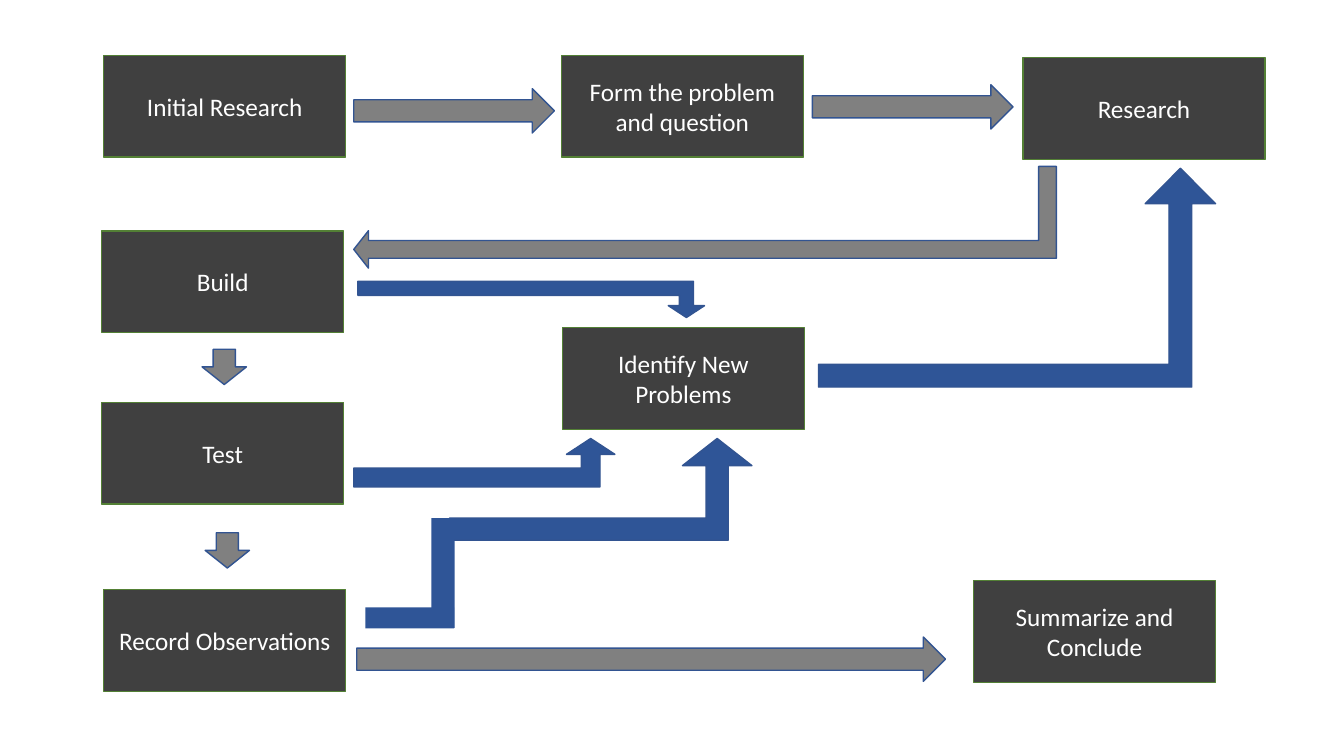
from pptx import Presentation
from pptx.dml.color import RGBColor
from pptx.enum.shapes import MSO_SHAPE
from pptx.enum.text import MSO_ANCHOR, PP_ALIGN
from pptx.util import Pt

RECT = MSO_SHAPE.RECTANGLE
RIGHT = MSO_SHAPE.RIGHT_ARROW
BENT = MSO_SHAPE.BENT_UP_ARROW
MIDDLE = MSO_ANCHOR.MIDDLE
CENTER = PP_ALIGN.CENTER

HUES = {
    "step": "404040", "rim": "538035", "text": "FFFFFF",
    "flow": "808080", "loop": "2F5597", "edge": "325491",
}
FONT = "Calibri"
STEP_W, STEP_H = 172.8, 72.72
HEAD = 31.68


def hue(name):
    """Return the named colour."""
    return RGBColor.from_string(HUES[name])


def draw(slide, kind, box, at, size, fill, line=None):
    """Draw one flat shape at an offset inside the box."""
    left, top = box[0] + at[0], box[1] + at[1]
    shape = slide.shapes.add_shape(kind, Pt(left), Pt(top), *map(Pt, size))
    shape.shadow.inherit = False
    shape.fill.solid()
    shape.fill.fore_color.rgb = hue(fill)
    if line:
        shape.line.color.rgb = hue(line)
        shape.line.width = Pt(1)
    else:
        shape.line.fill.background()
    return shape


def bend(slide, box, at, size, fill, ratios, turn=0, flip=None):
    """Draw a bent arrow, turned and mirrored as asked."""
    arrow = draw(slide, BENT, box, at, size, fill, "edge")
    for i, ratio in enumerate(ratios):
        arrow.adjustments[i] = ratio
    arrow.rotation = turn
    if flip:
        arrow.element.spPr.xfrm.set(flip, "1")


def add_steps(slide, box):
    """Place the labelled steps."""
    steps = (
        ("Initial Research", 2.16, 3.6),
        ("Form the problem and question", 329.04, 3.6),
        ("Research", 658.8, 5.04),
        ("Build", 0.72, 128.88),
        ("Test", 0.72, 251.28),
        ("Identify New Problems", 329.76, 198),
        ("Record Observations", 2.16, 385.2),
        ("Summarize and Conclude", 623.52, 378.72),
    )
    for label, x, y in steps:
        shape = draw(slide, RECT, box, (x, y), (STEP_W, STEP_H), "step", "rim")
        frame = shape.text_frame
        frame.word_wrap = True
        frame.vertical_anchor = MIDDLE
        para = frame.paragraphs[0]
        para.alignment = CENTER
        run = para.add_run()
        run.text = label
        run.font.name = FONT
        run.font.size = Pt(18)
        run.font.color.rgb = hue("text")


def add_flow(slide, box):
    """Place the grey arrows of the main path."""
    arrows = (
        (180.72, 27.36, 143.28, 0),
        (508.32, 24.48, 143.28, 0),
        (75.6, 210.24, 25.2, 90),
        (77.76, 341.28, 25.2, 90),
        (182.88, 419.04, 420.48, 0),
    )
    for x, y, width, turn in arrows:
        arrow = draw(slide, RIGHT, box, (x, y), (width, HEAD), "flow", "edge")
        arrow.rotation = turn
    bend(slide, box, (395.28, -131.76), (STEP_H, 501.84), "flow",
         (0.174, 0.184, 0.145), 90, "flipV")


def add_loops(slide, box):
    """Place the blue arrows that lead back to research."""
    small = (0.388, 0.5, 0.328)
    bend(slide, box, (180.72, 277.2), (186.48, 34.56), "loop", small)
    bend(slide, box, (183.6, 164.88), (247.68, 25.92), "loop", small,
         180, "flipH")
    bend(slide, box, (249.12, 277.2), (216, 72.72), "loop",
         (0.217, 0.341, 0.267))
    bend(slide, box, (512.64, 84.24), (283.68, 156.24), "loop",
         (0.104, 0.161, 0.162))
    draw(slide, RECT, box, (236.16, 334.08), (16.56, 78.48), "loop")
    draw(slide, RECT, box, (189, 397.8), (63.36, 15.12), "loop")


def main():
    """Build and save the slide."""
    deck = Presentation()
    deck.slide_width, deck.slide_height = Pt(960), Pt(540)
    slide = deck.slides.add_slide(deck.slide_layouts[6])
    chart = (72, 36)
    add_steps(slide, chart)
    add_flow(slide, chart)
    add_loops(slide, chart)
    deck.save("out.pptx")


if __name__ == "__main__":
    main()
